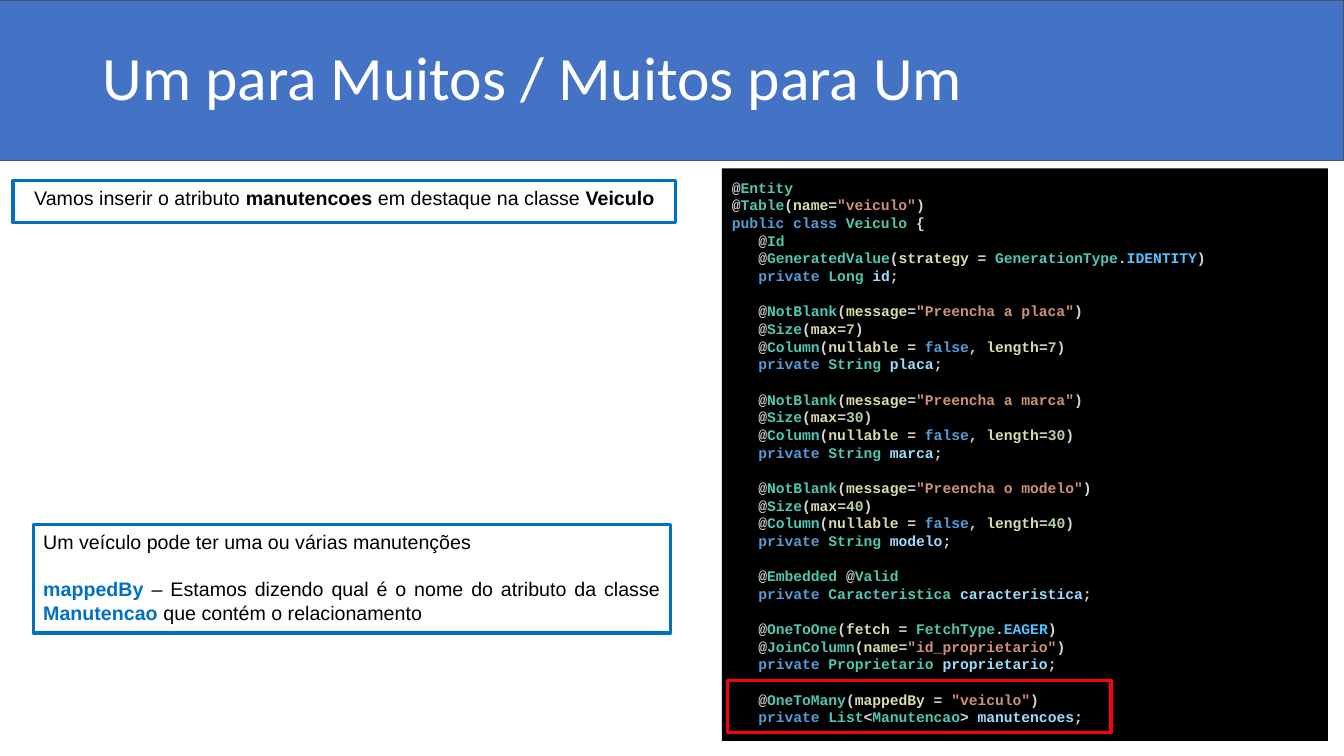
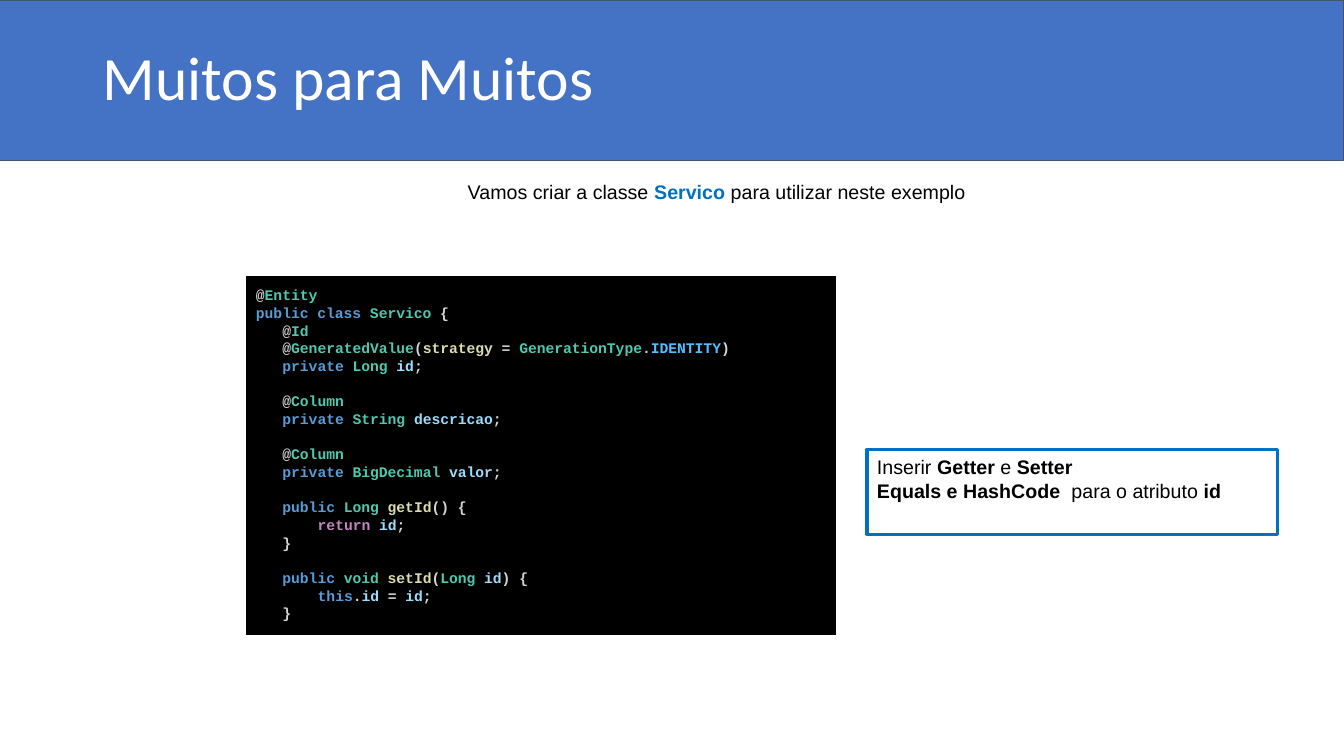
from dataclasses import dataclass
from itertools import groupby

from pptx import Presentation
from pptx.dml.color import RGBColor
from pptx.enum.shapes import MSO_SHAPE
from pptx.enum.text import MSO_ANCHOR, PP_ALIGN
from pptx.util import Pt

RECTANGLE = MSO_SHAPE.RECTANGLE
TOP, MIDDLE = MSO_ANCHOR.TOP, MSO_ANCHOR.MIDDLE
LEFT, CENTER, JUSTIFY = PP_ALIGN.LEFT, PP_ALIGN.CENTER, PP_ALIGN.JUSTIFY
EMU_PER_PX = 9144  # 100 px to the inch
SLIDE_WIDTH, SLIDE_HEIGHT = 1333, 750


@dataclass(frozen=True)
class Theme:
    # Colours
    band: str = "4472C4"
    band_line: str = "44546A"
    title: str = "FFFFFF"
    body: str = "000000"
    accent: str = "0070C0"
    highlight: str = "FF0000"
    code_background: str = "000000"
    # Syntax colours
    punctuation: str = "D4D4D4"
    type_name: str = "4EC9B0"
    keyword: str = "569CD6"
    control: str = "C586C0"
    member: str = "DCDCAA"
    variable: str = "9CDCFE"
    constant: str = "4FC1FF"
    string: str = "CE9178"
    number: str = "B5CEA8"
    # Fonts, type sizes and line pitches in points
    title_font: str = "Calibri"
    body_font: str = "Arial"
    code_font: str = "Courier New"
    title_size: float = 44
    body_size: float = 14
    code_size: float = 10.5
    body_pitch: float = 17
    code_pitch: float = 12.6
    code_character: float = 6.3
    outline: float = 2.25
    hairline: float = 0.75


THEME = Theme()
WORD_COLORS = {
    **dict.fromkeys(("public", "private", "class", "false", "this"), THEME.keyword),
    "return": THEME.control,
    "void": THEME.type_name,
}

VEHICLE_CODE = """\
@Entity
@Table(name="veiculo")
public class Veiculo {
   @Id
   @GeneratedValue(strategy = GenerationType.IDENTITY)
   private Long id;

   @NotBlank(message="Preencha a placa")
   @Size(max=7)
   @Column(nullable = false, length=7)
   private String placa;

   @NotBlank(message="Preencha a marca")
   @Size(max=30)
   @Column(nullable = false, length=30)
   private String marca;

   @NotBlank(message="Preencha o modelo")
   @Size(max=40)
   @Column(nullable = false, length=40)
   private String modelo;

   @Embedded @Valid
   private Caracteristica caracteristica;

   @OneToOne(fetch = FetchType.EAGER)
   @JoinColumn(name="id_proprietario")
   private Proprietario proprietario;

   @OneToMany(mappedBy = "veiculo")
   private List<Manutencao> manutencoes;"""

SERVICE_CODE = """\
@Entity
public class Servico {
   @Id
   @GeneratedValue(strategy = GenerationType.IDENTITY)
   private Long id;

   @Column
   private String descricao;

   @Column
   private BigDecimal valor;

   public Long getId() {
       return id;
   }

   public void setId(Long id) {
       this.id = id;
   }"""


def px(length):
    return length * EMU_PER_PX


def rgb(color):
    return RGBColor.from_string(color)


# Basic elements

def add_rectangle(slide, box, fill=None, line=None, line_width=THEME.outline):
    shape = slide.shapes.add_shape(RECTANGLE, *map(px, box))
    shape.shadow.inherit = False
    if fill:
        shape.fill.solid()
        shape.fill.fore_color.rgb = rgb(fill)
    else:
        shape.fill.background()
    if line:
        shape.line.color.rgb = rgb(line)
        shape.line.width = Pt(line_width)
    else:
        shape.line.fill.background()
    return shape


def prepare_frame(shape, vertical_margin=5, anchor=TOP):
    frame = shape.text_frame
    frame.word_wrap = True
    frame.vertical_anchor = anchor
    frame.margin_left = frame.margin_right = px(10)
    frame.margin_top = frame.margin_bottom = px(vertical_margin)
    return frame


def next_paragraph(frame, index):
    return frame.add_paragraph() if index else frame.paragraphs[0]


def add_run(paragraph, text, font, size, color, bold=False):
    run = paragraph.add_run()
    run.text = text
    run.font.name = font
    run.font.size = Pt(size)
    run.font.bold = bold
    run.font.color.rgb = rgb(color)


# Prose: each paragraph is a list of (text, style) pairs

def write_prose(shape, paragraphs, alignment=LEFT, gap=0):
    styles = {
        "plain": (THEME.body, False),
        "bold": (THEME.body, True),
        "accent": (THEME.accent, True),
    }
    frame = prepare_frame(shape)
    for index, pieces in enumerate(paragraphs):
        paragraph = next_paragraph(frame, index)
        paragraph.alignment = alignment
        paragraph.line_spacing = Pt(THEME.body_pitch)
        paragraph.space_before = Pt(gap if index else 0)
        for text, style in pieces:
            color, bold = styles[style]
            add_run(paragraph, text, THEME.body_font, THEME.body_size, color, bold)


def add_note(slide, box, paragraphs, alignment=JUSTIFY, gap=0):
    write_prose(add_rectangle(slide, box, line=THEME.accent), paragraphs, alignment, gap)


# Code listing with syntax colours

def is_word_character(character):
    return character.isalnum() or character == "_"


def word_color(word, following, in_annotation):
    if word in WORD_COLORS:
        return WORD_COLORS[word]
    if word.isdigit():
        return THEME.number
    if word.isupper():
        return THEME.constant
    if word[0].isupper():
        return THEME.type_name
    if in_annotation or following.startswith("("):
        return THEME.member
    return THEME.variable


def color_tokens(line):
    for index, piece in enumerate(line.split('"')):
        if index % 2:
            yield f'"{piece}"', THEME.string
            continue
        tokens = ["".join(group) for _, group in groupby(piece, is_word_character)]
        color = THEME.punctuation
        for token, following in zip(tokens, tokens[1:] + [""]):
            if is_word_character(token[0]):
                color = word_color(token, following, line.startswith("@"))
            elif not token.isspace():
                color = THEME.punctuation
            yield token, color


def add_code(slide, box, code):
    shape = add_rectangle(slide, box, fill=THEME.code_background)
    frame = prepare_frame(shape, vertical_margin=10)
    index = 0
    gap = 0
    for line in code.splitlines():
        if not line:
            gap = THEME.code_pitch
            continue
        statement = line.lstrip()
        paragraph = next_paragraph(frame, index)
        paragraph.alignment = LEFT
        paragraph.line_spacing = Pt(THEME.code_pitch)
        paragraph.space_before = Pt(gap)
        indent = Pt((len(line) - len(statement)) * THEME.code_character)
        paragraph._p.get_or_add_pPr().set("marL", str(indent))
        for color, group in groupby(color_tokens(statement), lambda token: token[1]):
            text = "".join(token for token, _ in group)
            add_run(paragraph, text, THEME.code_font, THEME.code_size, color, True)
        index += 1
        gap = 0


# Slides

def add_titled_slide(presentation, title):
    slide = presentation.slides.add_slide(presentation.slide_layouts[6])
    add_rectangle(slide, (0, 0, SLIDE_WIDTH, 159), THEME.band, THEME.band_line, THEME.hairline)
    shape = slide.shapes.add_textbox(*map(px, (92, 7, 1150, 145)))
    paragraph = prepare_frame(shape, anchor=MIDDLE).paragraphs[0]
    paragraph.line_spacing = 0.9
    add_run(paragraph, title, THEME.title_font, THEME.title_size, THEME.title)
    return slide


def add_one_to_many(presentation):
    slide = add_titled_slide(presentation, "Um para Muitos / Muitos para Um")
    add_note(slide, (13, 179, 657, 42), [
        [("Vamos inserir o atributo ", "plain"), ("manutencoes", "bold"),
         (" em destaque na classe ", "plain"), ("Veiculo", "bold")],
    ], CENTER)
    add_note(slide, (33, 520, 632, 108), [
        [("Um veículo pode ter uma ou várias manutenções", "plain")],
        [("mappedBy", "accent"),
         (" – Estamos dizendo qual é o nome do atributo da classe ", "plain"),
         ("Manutencao", "accent"), (" que contém o relacionamento", "plain")],
    ], gap=THEME.body_pitch)
    add_code(slide, (716, 167, 601, 568), VEHICLE_CODE)
    add_rectangle(slide, (722, 675, 380, 52), line=THEME.highlight)


def add_many_to_many(presentation):
    slide = add_titled_slide(presentation, "Muitos para Muitos")
    introduction = slide.shapes.add_textbox(*map(px, (454, 173, 742, 45)))
    write_prose(introduction, [
        [("Vamos criar a classe ", "plain"), ("Servico", "accent"),
         (" para utilizar neste exemplo", "plain")],
    ])
    add_note(slide, (860, 446, 407, 84), [
        [("Inserir ", "plain"), ("Getter", "bold"), (" e ", "plain"), ("Setter", "bold")],
        [("Equals e HashCode", "bold"), ("  para o atributo ", "plain"), ("id", "bold")],
    ])
    add_code(slide, (244, 274, 585, 356), SERVICE_CODE)


def main():
    presentation = Presentation()
    presentation.slide_width = px(SLIDE_WIDTH)
    presentation.slide_height = px(SLIDE_HEIGHT)
    add_one_to_many(presentation)
    add_many_to_many(presentation)
    presentation.save("out.pptx")


if __name__ == "__main__":
    main()
